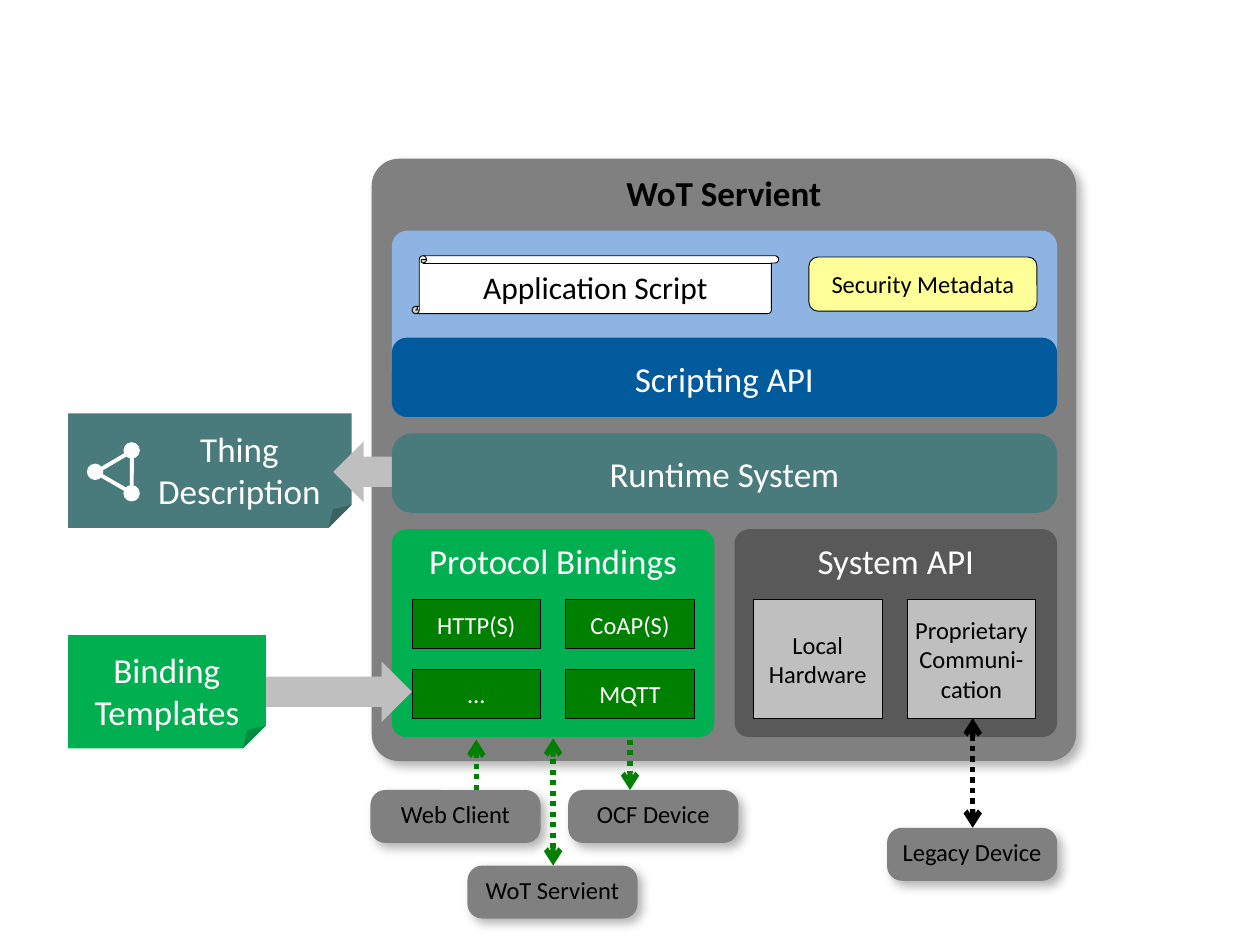
from pptx import Presentation
from pptx.dml.color import RGBColor
from pptx.enum.dml import MSO_LINE as Dash
from pptx.enum.shapes import MSO_CONNECTOR as Link, MSO_SHAPE as Form
from pptx.enum.text import MSO_ANCHOR as Anchor, PP_ALIGN as Align
from pptx.oxml.ns import qn
from pptx.util import Inches, Pt
from lxml.etree import SubElement as sub

BLACK, WHITE = "000000", "FFFFFF"
GREY, SILVER, SLATE = "808080", "BFBFBF", "595959"
TEAL, LIME, GREEN = "4A7B7C", "00B050", "008000"
SKY, BLUE, CREAM = "8EB4E3", "005A9C", "FFFF99"
PAD = (0.1, 0.04, 0.1, 0.08)


def tint(code):
    return RGBColor.from_string(code)


def write(shape, text, size=20, color=WHITE, bold=False, anchor=Anchor.MIDDLE,
          pad=(0.1, 0.05, 0.1, 0.05), wrap=False):
    frame = shape.text_frame
    frame.word_wrap = wrap
    frame.vertical_anchor = anchor
    frame.margin_left, frame.margin_top, frame.margin_right, frame.margin_bottom = map(Inches, pad)
    para = frame.paragraphs[0]
    para.text = text.replace("\n", "\v")
    para.alignment = Align.CENTER
    for run in para.runs:
        font = run.font
        font.name, font.size, font.bold = "Calibri", Pt(size), bold
        font.color.rgb = tint(color)


class Board:
    def __init__(self, slide):
        self.slide = slide
        self.face = Form.ROUNDED_RECTANGLE
        self.edge = 0.5

    def shape(self, form, at, fill=None, line=None, width=None, turn=0, home=None):
        item = (home or self.slide).shapes.add_shape(form, *map(Inches, at))
        item.shadow.inherit = False
        if fill:
            item.fill.solid()
            item.fill.fore_color.rgb = tint(fill)
        else:
            item.fill.background()
        if line:
            item.line.color.rgb = tint(line)
            item.line.width = Pt(width or self.edge)
        else:
            item.line.fill.background()
        item.rotation = turn
        return item

    def panel(self, at, fill, adj, text=None, **style):
        item = self.shape(self.face, at, fill)
        item.adjustments[0] = adj
        if text:
            write(item, text, **style)
        return item

    def raised(self, at, adj, text, **style):
        item = self.panel(at, GREY, adj, text, color=BLACK, pad=PAD, **style)
        glow = sub(item.element.spPr.find(qn("a:effectLst")), qn("a:outerShdw"),
                   blurRad=str(Pt(6)), dist=str(Pt(4)), dir="2700000",
                   algn="tl", rotWithShape="0")
        shade = sub(glow, qn("a:srgbClr"), val=BLACK)
        sub(shade, qn("a:alpha"), val="30000")

    def peer(self, left, top, text):
        self.raised((left, top, 1.35, 0.42), 0.28, text, size=14)

    def cell(self, at, fill, text, color, wrap=False):
        item = self.shape(Form.RECTANGLE, at, fill, BLACK)
        write(item, text, size=14, color=color, wrap=wrap)

    def note(self, at, fill, text, inset, home=None):
        item = self.shape(Form.FOLDED_CORNER, at, fill, home=home)
        fold = item.element.spPr.find(qn("a:prstGeom")).find(qn("a:avLst"))
        for old in list(fold):
            fold.remove(old)
        sub(fold, qn("a:gd"), name="adj", fmla="val 20200")
        write(item, text, pad=(inset, 0.16, 0, 0))

    def arrow(self, at, turn):
        self.shape(Form.DOWN_ARROW, at, SILVER, turn=turn)

    def link(self, x, top, end, color, both=False):
        item = self.slide.shapes.add_connector(
            Link.STRAIGHT, *map(Inches, (x, top, x, end)))
        item.line.color.rgb = tint(color)
        item.line.width = Pt(3)
        item.line.dash_style = Dash.ROUND_DOT
        props = item.element.spPr
        line = props.find(qn("a:ln"))
        for tag in ("a:headEnd", "a:tailEnd")[0 if both else 1:]:
            sub(line, qn(tag), type="arrow")
        sub(props, qn("a:effectLst"))

    def thing(self):
        group = self.slide.shapes.add_group_shape()
        self.note((0.54, 3.28, 2.25, 0.91), TEAL, "Thing\nDescription", 0.47, group)
        self.shape(Form.ISOSCELES_TRIANGLE, (0.81, 3.56, 0.33, 0.29),
                   line=WHITE, width=2.25, turn=30, home=group)
        for left, top in ((0.98, 3.51), (0.69, 3.68), (0.98, 3.85)):
            self.shape(Form.OVAL, (left, top, 0.13, 0.13), WHITE, home=group)


def main():
    deck = Presentation()
    deck.slide_width, deck.slide_height = Inches(10), Inches(7.5)
    board = Board(deck.slides.add_slide(deck.slide_layouts[6]))
    top = Anchor.TOP

    board.raised((2.95, 1.26, 5.59, 4.78), 0.045, "WoT Servient", bold=True, anchor=top)
    board.panel((3.11, 1.83, 5.28, 1.24), SKY, 0.1)
    board.thing()
    board.arrow((2.69, 3.46, 0.48, 0.57), 90)
    board.panel((3.11, 3.44, 5.28, 0.63), TEAL, 0.25, "Runtime System")
    for left, fill, text in ((3.11, LIME, "Protocol Bindings"), (5.83, SLATE, "System API")):
        board.panel((left, 4.2, 2.56, 1.65), fill, 0.07, text, anchor=top)
    for left, text in ((5.98, "Local\nHardware"), (7.2, "Proprietary\nCommuni-\ncation")):
        board.cell((left, 4.76, 1.02, 0.94), SILVER, text, BLACK)

    for left, y, text in ((2.94, 6.27, "Web Client"), (4.51, 6.27, "OCF Device"),
                          (3.71, 6.87, "WoT Servient"), (7.04, 6.57, "Legacy Device")):
        board.peer(left, y, text)
    board.link(3.78, 6.27, 5.87, GREEN)
    board.link(5, 5.87, 6.27, GREEN)
    board.link(4.39, 6.87, 5.86, GREEN, both=True)
    board.link(7.72, 5.7, 6.57, BLACK, both=True)

    board.panel((3.11, 2.68, 5.28, 0.63), BLUE, 0.19, "Scripting API",
                anchor=Anchor.BOTTOM, pad=(0.1, 0.05, 0.1, 0.1))
    meta = board.shape(board.face, (6.42, 2.04, 1.81, 0.43), CREAM, BLACK)
    write(meta, "Security Metadata", size=14, color=BLACK, wrap=True)
    scroll = board.shape(Form.VERTICAL_SCROLL, (3.27, 2.03, 2.91, 0.46), WHITE, BLACK)
    write(scroll, "Application Script", size=18, color=BLACK)

    board.arrow((2.4, 4.86, 0.48, 1.26), 270)
    board.note((0.54, 5.04, 1.57, 0.9), LIME, "Binding\nTemplates", 0)
    for i, text in enumerate(("HTTP(S)", "CoAP(S)", "…", "MQTT")):
        row, col = divmod(i, 2)
        board.cell((3.27 + 1.22 * col, 4.76 + 0.55 * row, 1.02, 0.39),
                   GREEN, text, WHITE, wrap=True)

    deck.save("out.pptx")


if __name__ == "__main__":
    main()
